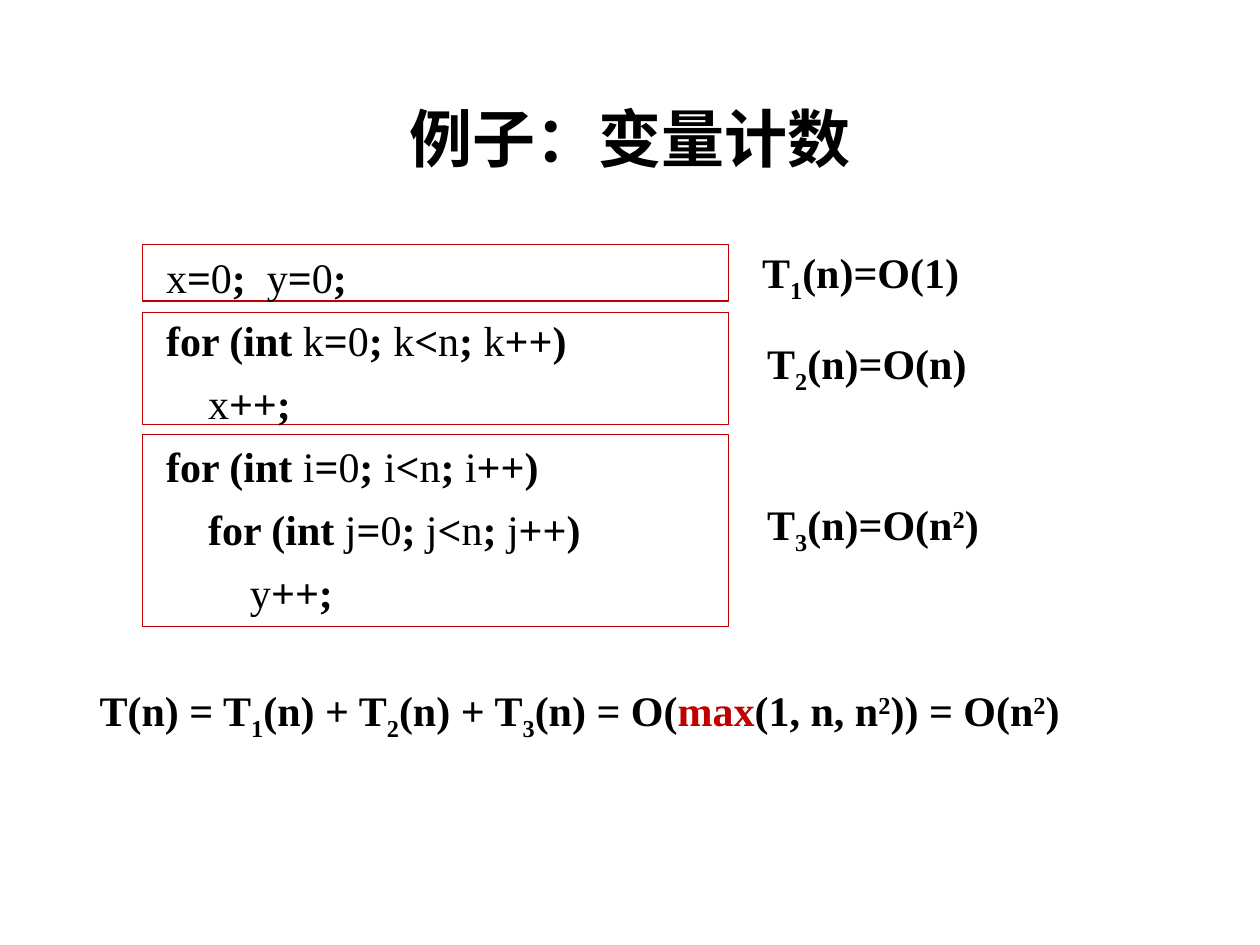
from dataclasses import dataclass
from pptx import Presentation
from pptx.dml.color import RGBColor
from pptx.enum.shapes import MSO_SHAPE
from pptx.enum.text import MSO_ANCHOR, MSO_AUTO_SIZE, PP_ALIGN
from pptx.oxml import parse_xml
from pptx.oxml.ns import nsdecls
from pptx.util import Inches, Pt


@dataclass(frozen=True)
class Theme:
    ink: RGBColor = RGBColor(0, 0, 0)
    red: RGBColor = RGBColor(0xC0, 0, 0)
    paper: RGBColor = RGBColor(255, 255, 255)
    latin: str = "Times New Roman"
    han: str = "Noto Sans CJK SC"
    head: int = 36
    text: int = 24
    rule: float = 0.75


THEME = Theme()
COLS, ROWS = 100, 75
WIDE, HIGH = Inches(10), Inches(7.5)

MARKS = {
    "~": ({"bold": False}, 0),
    "!": ({"color": THEME.red}, 0),
    "_": ({}, -25000),
    "^": ({}, 30000),
}

CODE = [
    "~x|=|~0|;|~  y|=|~0|;",
    "for (int|~ k|=|~0|;|~ k|<|~n|;|~ k|++)",
    "~    x|++;",
    "for (int |~i|=|~0|; |~i|<|~n|; |~i|++)",
    "~    |for (int|~ j|=|~0|;|~ j|<|~n|;|~ j|++)",
    "~        y|++;",
]
FRAMES = [(19.4, 4.5), (24.8, 8.9), (34.5, 15.2)]
COSTS = [
    (59.5, 19.1, 18, "T|_1|(n)=O(1)"),
    (59.9, 26.3, 18.1, "T|_2|(n)=O(n)"),
    (59.9, 39.1, 19.8, "T|_3|(n)=O(n|^2|)"),
]
TOTAL = "T(n) = T|_1|(n) + T|_2|(n) + T|_3|(n) = O(|!max|(1, n, n|^2|)) = O(n|^2|)"


def span(col, row, wide, high):
    return (int(WIDE * col / COLS), int(HIGH * row / ROWS),
            int(WIDE * wide / COLS), int(HIGH * high / ROWS))


def apply(item, form):
    for name, value in form.items():
        setattr(item, name, value)


def place(shape, *cells):
    names = ("left", "top", "width", "height")
    apply(shape, dict(zip(names, span(*cells))))


def add_run(para, text, face=THEME.latin, size=THEME.text):
    form, shift = MARKS.get(text[0], ({}, 0))
    run = para.add_run()
    run.text = text[1:] if text[0] in MARKS else text
    look = {"name": face, "size": Pt(size), "bold": True} | form
    run.font.color.rgb = look.pop("color", THEME.ink)
    apply(run.font, look)
    props = run._r.get_or_add_rPr()
    if shift:
        props.set("baseline", str(shift))
    if face == THEME.han:
        props.append(parse_xml(f'<a:ea {nsdecls("a")} typeface="{face}"/>'))


def fill_text(frame, lines, form):
    for num, line in enumerate(lines):
        para = frame.add_paragraph() if num else frame.paragraphs[0]
        apply(para, form)
        for part in line.split("|"):
            add_run(para, part)


def add_frame(slide, row, high):
    box = slide.shapes.add_shape(MSO_SHAPE.RECTANGLE, *span(11.3, row, 46.5, high))
    box.shadow.inherit = False
    box.fill.solid()
    box.fill.fore_color.rgb = THEME.paper
    box.line.color.rgb = THEME.red
    box.line.width = Pt(THEME.rule)


def add_label(slide, cells, lines, form):
    frame = slide.shapes.add_textbox(*span(*cells)).text_frame
    apply(frame, {"word_wrap": False, "auto_size": MSO_AUTO_SIZE.SHAPE_TO_FIT_TEXT})
    fill_text(frame, lines, form)


def set_title(slide, text):
    title = slide.shapes.title
    place(title, 6.9, 4, 86.2, 14.5)
    frame = title.text_frame
    apply(frame, {"auto_size": MSO_AUTO_SIZE.NONE, "vertical_anchor": MSO_ANCHOR.MIDDLE})
    para = frame.paragraphs[0]
    apply(para, {"alignment": PP_ALIGN.CENTER, "line_spacing": 0.9})
    add_run(para, text, THEME.han, THEME.head)


def set_body(slide, text):
    body = slide.placeholders[1]
    place(body, 6.9, 53.2, 86.2, 14.3)
    frame = body.text_frame
    apply(frame, {"auto_size": MSO_AUTO_SIZE.NONE, "margin_top": Inches(0.12)})
    props = frame.paragraphs[0]._p.get_or_add_pPr()
    apply(props, {"marL": Inches(0.19), "indent": Inches(-0.19)})
    props.append(parse_xml(f'<a:buNone {nsdecls("a")}/>'))
    fill_text(frame, [text], {"line_spacing": 0.9, "space_before": Pt(0)})


def main():
    deck = Presentation()
    apply(deck, {"slide_width": WIDE, "slide_height": HIGH})
    slide = deck.slides.add_slide(deck.slide_layouts[1])
    set_title(slide, "例子：变量计数")
    set_body(slide, TOTAL)
    for row, high in FRAMES:
        add_frame(slide, row, high)
    add_label(slide, (12.2, 18.5, 35.3, 30.8), CODE, {"line_spacing": 1.25})
    for col, row, wide, text in COSTS:
        add_label(slide, (col, row, wide, 5), [text], {})
    deck.save("out.pptx")


if __name__ == "__main__":
    main()
